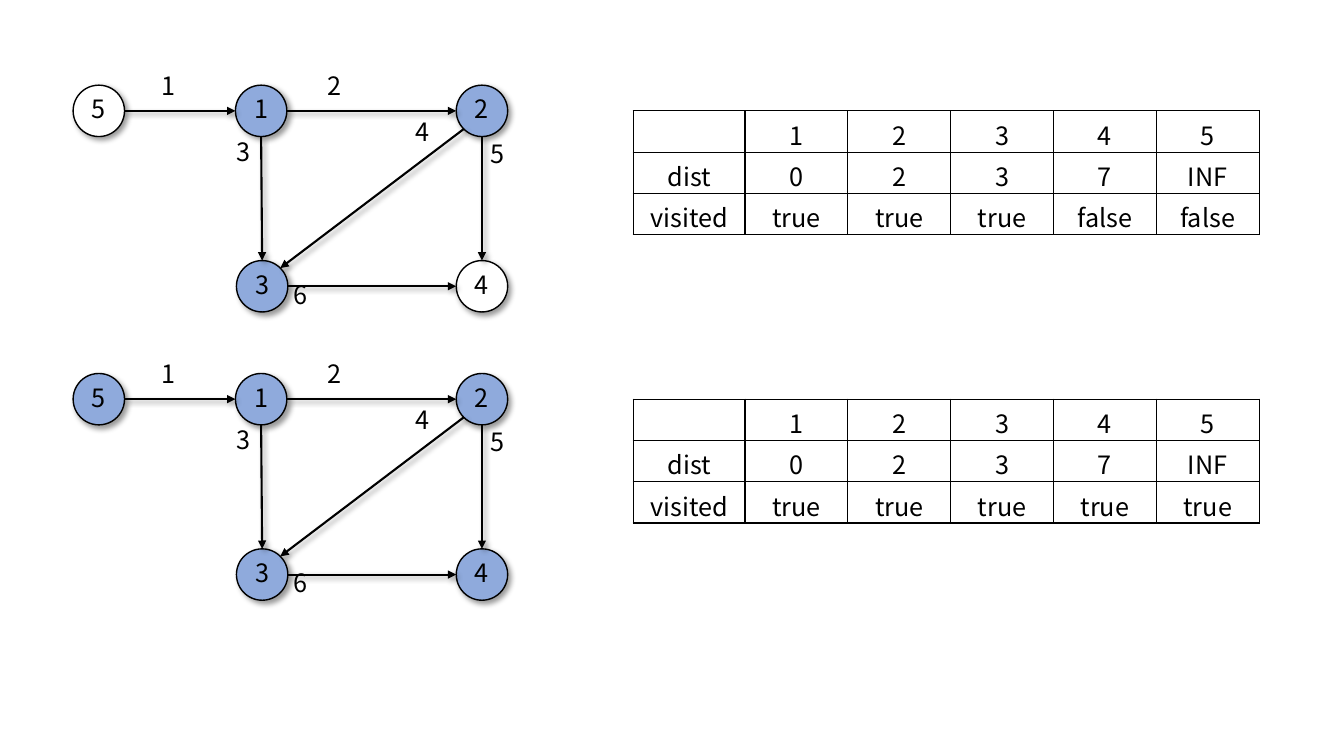
import math
from lxml import etree
from pptx import Presentation
from pptx.dml.color import RGBColor
from pptx.enum.shapes import MSO_CONNECTOR, MSO_SHAPE
from pptx.enum.text import MSO_ANCHOR, PP_ALIGN
from pptx.oxml import parse_xml
from pptx.util import Inches, Pt

OVAL = MSO_SHAPE.OVAL
STRAIGHT = MSO_CONNECTOR.STRAIGHT
MIDDLE, TOP = MSO_ANCHOR.MIDDLE, MSO_ANCHOR.TOP
CENTER, LEFT = PP_ALIGN.CENTER, PP_ALIGN.LEFT
A = "http://schemas.openxmlformats.org/drawingml/2006/main"


def color(value):
    return RGBColor.from_string(value)


class GraphSlide:
    font = "Noto Sans CJK KR"
    size = 18
    ink, paper, visited = "000000", "FFFFFF", "8FAADC"
    diameter = 0.51

    def __init__(self, slide):
        self.slide = slide

    def add_text(self, paragraph, text, align):
        paragraph.alignment = align
        run = paragraph.add_run()
        run.text = text
        run.font.name = self.font
        run.font.size = Pt(self.size)
        run.font.color.rgb = color(self.ink)

    def drop_shadow(self, element):
        element.spPr.append(parse_xml(
            f'<a:effectLst xmlns:a="{A}"><a:outerShdw blurRad="{Pt(4)}" dist="{Pt(3)}" '
            'dir="2700000" algn="tl" rotWithShape="0">'
            f'<a:srgbClr val="{self.ink}"><a:alpha val="40000"/></a:srgbClr>'
            '</a:outerShdw></a:effectLst>'))

    def node(self, name, center, fill):
        left, top = (Inches(c - self.diameter / 2) for c in center)
        circle = self.slide.shapes.add_shape(
            OVAL, left, top, Inches(self.diameter), Inches(self.diameter))
        circle.fill.solid()
        circle.fill.fore_color.rgb = color(fill)
        circle.line.color.rgb = color(self.ink)
        circle.line.width = Pt(1)
        self.drop_shadow(circle.element)
        frame = circle.text_frame
        frame.vertical_anchor = MIDDLE
        frame.word_wrap = False
        frame.margin_left = frame.margin_right = frame.margin_top = 0
        frame.margin_bottom = Inches(0.04)
        self.add_text(frame.paragraphs[0], name, CENTER)

    def edge(self, start, end):
        heading = math.atan2(end[1] - start[1], end[0] - start[0])
        snapped = round(heading / (math.pi / 4)) * math.pi / 4
        dx = self.diameter / 2 * math.cos(snapped)
        dy = self.diameter / 2 * math.sin(snapped)
        arrow = self.slide.shapes.add_connector(
            STRAIGHT, Inches(start[0] + dx), Inches(start[1] + dy),
            Inches(end[0] - dx), Inches(end[1] - dy))
        arrow.line.color.rgb = color(self.ink)
        arrow.line.width = Pt(1.5)
        etree.SubElement(arrow.get_or_add_ln(), f"{{{A}}}tailEnd", type="triangle")
        self.drop_shadow(arrow.element)

    def weight(self, text, left, top):
        label = self.slide.shapes.add_textbox(
            Inches(left), Inches(top), Inches(0.36), Inches(0.4))
        frame = label.text_frame
        frame.word_wrap = False
        frame.vertical_anchor = TOP
        frame.margin_top = frame.margin_bottom = 0
        self.add_text(frame.paragraphs[0], text, LEFT)

    def cell(self, cell, text):
        cell.fill.solid()
        cell.fill.fore_color.rgb = color(self.paper)
        cell.margin_top, cell.margin_bottom = Inches(0.05), 0
        if text:
            self.add_text(cell.text_frame.paragraphs[0], text, CENTER)
        properties = cell._tc.get_or_add_tcPr()
        for position, side in enumerate(("lnL", "lnR", "lnT", "lnB")):
            properties.insert(position, parse_xml(
                f'<a:{side} xmlns:a="{A}" w="{Pt(1)}"><a:solidFill>'
                f'<a:srgbClr val="{self.ink}"/></a:solidFill></a:{side}>'))

    def table(self, rows, left, top, widths, row_height):
        table = self.slide.shapes.add_table(
            len(rows), len(widths), Inches(left), Inches(top),
            Inches(sum(widths)), Inches(row_height * len(rows))).table
        table.first_row = table.horz_banding = False
        for column, width in zip(table.columns, widths):
            column.width = Inches(width)
        for row, values in zip(table.rows, rows):
            row.height = Inches(row_height)
            for cell, text in zip(row.cells, values):
                self.cell(cell, text)


NODES = {"1": (2.59, 0), "3": (2.6, 1.74), "2": (4.78, 0),
         "4": (4.78, 1.74), "5": (0.98, 0)}
EDGES = [("1", "2", "2", 3.15, -0.4), ("1", "3", "3", 2.25, 0.25),
         ("2", "4", "5", 4.77, 0.27), ("3", "4", "6", 2.81, 1.67),
         ("5", "1", "1", 1.5, -0.4), ("2", "3", "4", 4.02, 0.05)]
DISTANCES = ["0", "2", "3", "7", "INF"]
STEPS = [(1.1, "123"), (3.96, "12345")]

presentation = Presentation()
presentation.slide_width, presentation.slide_height = Inches(13.33), Inches(7.5)
page = GraphSlide(presentation.slides.add_slide(presentation.slide_layouts[6]))

for top, visited in STEPS:
    centers = {name: (x, top + y) for name, (x, y) in NODES.items()}
    for name, center in centers.items():
        page.node(name, center, page.visited if name in visited else page.paper)
    for source, target, weight, left, offset in EDGES:
        page.edge(centers[source], centers[target])
        page.weight(weight, left, top + offset)
    flags = ["true" if name in visited else "false" for name in "12345"]
    page.table([["", *"12345"], ["dist", *DISTANCES], ["visited", *flags]],
               6.28, top, [1.11] + [1.02] * 5, 0.41)

presentation.save("out.pptx")
